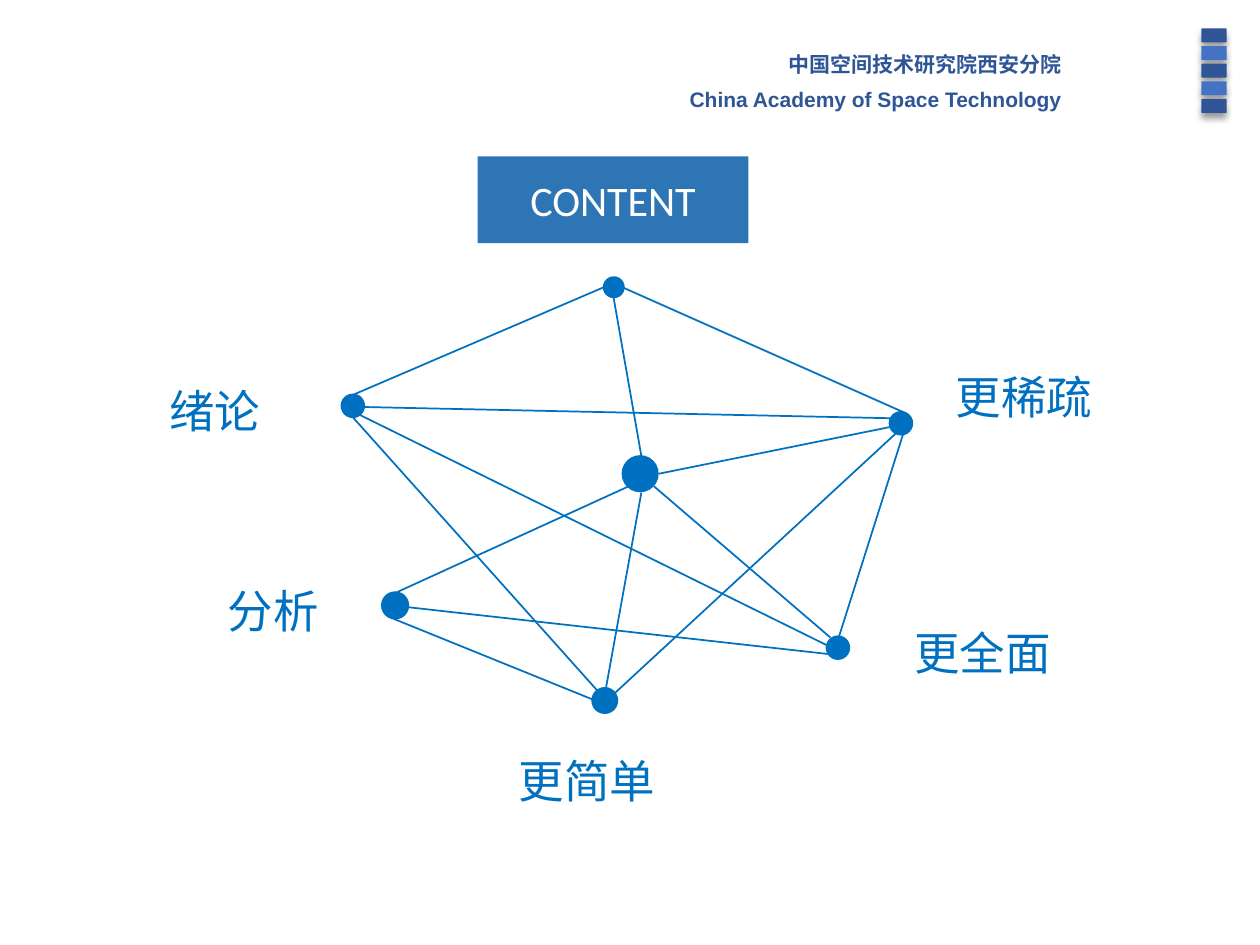
from dataclasses import dataclass

from lxml import etree
from pptx import Presentation
from pptx.dml.color import RGBColor
from pptx.enum import shapes, text
from pptx.oxml import ns
from pptx.util import Pt


@dataclass(frozen=True)
class Theme:
    navy: str = "2F5597"
    blue: str = "4472C4"
    banner: str = "2E75B6"
    network: str = "0070C0"
    white: str = "FFFFFF"
    header_size: float = 12
    title_size: float = 24
    label_size: float = 26
    line_width: float = 1


@dataclass(frozen=True)
class Box:
    left: float
    top: float
    width: float
    height: float

    def inner(self, x, y, width, height):
        return Box(self.left + x, self.top + y, width, height)

    def lengths(self):
        return [Pt(v) for v in (self.left, self.top, self.width, self.height)]


THEME = Theme()
ALIGN = text.PP_ALIGN
KIND = shapes.MSO_SHAPE

# Circle: left, top, diameter
NODES = [
    (296, 0.4, 11.5), (306.7, 102.6, 20.2), (459.3, 77.4, 13),
    (146.1, 67.4, 13), (169.2, 180.4, 15.1), (289.4, 235.1, 14.4),
    (423.3, 205.6, 13),
]
# Link: start x, start y, end x, end y
LINKS = [
    (295.9, 6.2, 153.3, 67.4), (306.7, 6.2, 468.7, 78.2),
    (301.6, 11.9, 317.5, 102.6), (151.9, 79.6, 292.3, 236.6),
    (423.3, 210.6, 156.2, 78.9), (460, 81, 159.1, 74.6),
    (302.4, 238, 462.9, 89.7), (317.5, 123.5, 297.3, 235.1),
    (324.7, 119.9, 425.5, 206.3), (459.3, 86.1, 327.6, 112.7),
    (467.2, 89.7, 430.5, 205.6), (310.3, 119.9, 177.8, 180.4),
    (175.6, 195.5, 289.4, 241.6), (424, 215.7, 184.3, 189),
]
# Topic: wording, alignment, place
TOPICS = [
    ("绪论", ALIGN.CENTER, (0, 57.3, 147.6, 70.6)),
    ("分析", ALIGN.LEFT, (74.1, 171.8, 73.4, 38.9)),
    ("更简单", ALIGN.LEFT, (240.4, 269, 98.6, 38.9)),
    ("更全面", ALIGN.CENTER, (440.6, 195.5, 144, 38.9)),
    ("更稀疏", ALIGN.CENTER, (473.7, 49.4, 125.3, 38.9)),
]


def apply(target, **values):
    for name, value in values.items():
        setattr(target, name, value)


def drop_shadow():
    effects = etree.Element(ns.qn("a:effectLst"))
    shadow = etree.SubElement(
        effects, ns.qn("a:outerShdw"), blurRad=str(Pt(4)), dist=str(Pt(3)),
        dir="5400000", algn="t", rotWithShape="0")
    black = etree.SubElement(shadow, ns.qn("a:srgbClr"), val="000000")
    etree.SubElement(black, ns.qn("a:alpha"), val="40000")
    return effects


def add_filled(slide, kind, box, color, outlined=False):
    shape = slide.shapes.add_shape(kind, *box.lengths())
    shape.shadow.inherit = False
    shape.fill.solid()
    shape.fill.fore_color.rgb = RGBColor.from_string(color)
    if outlined:
        shape.line.color.rgb = RGBColor.from_string(color)
        shape.line.width = Pt(THEME.line_width)
    else:
        shape.line.fill.background()
    return shape


def write(paragraph, wording, face, size, color, alignment, bold=False):
    paragraph.alignment = alignment
    run = paragraph.add_run()
    run.text = wording
    apply(run.font, name=face, size=Pt(size), bold=bold)
    run.font.color.rgb = RGBColor.from_string(color)
    latin = run.font._element.find(ns.qn("a:latin"))
    latin.addnext(etree.Element(ns.qn("a:ea"), typeface=face))
    return run


def add_frame(slide, box, **values):
    frame = slide.shapes.add_textbox(*box.lengths()).text_frame
    apply(frame, word_wrap=True,
          auto_size=text.MSO_AUTO_SIZE.SHAPE_TO_FIT_TEXT, **values)
    return frame


def header(slide, box):
    frame = add_frame(slide, box, margin_left=Pt(5), margin_right=Pt(5),
                      margin_top=Pt(2.9), margin_bottom=Pt(2.9))
    chinese, english = frame.paragraphs[0], frame.add_paragraph()
    for paragraph, wording, face in (
            (chinese, "中国空间技术研究院西安分院", "Noto Sans CJK SC"),
            (english, "China Academy of Space Technology", "Arial")):
        run = write(paragraph, wording, face, THEME.header_size, THEME.navy,
                    ALIGN.RIGHT, bold=True)
        paragraph.line_spacing = Pt(20)
        run.font._element.find(ns.qn("a:solidFill")).addnext(drop_shadow())
    chinese._p.get_or_add_pPr().set("marR", str(Pt(19)))


def bar_stack(slide, box):
    """Five bars turned on their side, in alternating blues."""
    pitch = 10.08
    for i in range(5):
        color = THEME.blue if i % 2 else THEME.navy
        bar = add_filled(slide, KIND.ROUNDED_RECTANGLE,
                         box.inner(0, i * pitch, 7.9, 14.4), color)
        bar.rotation = 270
        bar.adjustments[0] = 0.05
        properties = bar._element.spPr
        properties.replace(properties.find(ns.qn("a:effectLst")), drop_shadow())


def banner(slide, box):
    frame = add_filled(slide, KIND.RECTANGLE, box, THEME.banner).text_frame
    frame.vertical_anchor = text.MSO_ANCHOR.MIDDLE
    write(frame.paragraphs[0], "CONTENT", "Calibri", THEME.title_size,
          THEME.white, ALIGN.CENTER)


def network(slide, box):
    for x1, y1, x2, y2 in LINKS:
        link = slide.shapes.add_connector(
            shapes.MSO_CONNECTOR.STRAIGHT,
            Pt(box.left + x1), Pt(box.top + y1),
            Pt(box.left + x2), Pt(box.top + y2))
        link.line.color.rgb = RGBColor.from_string(THEME.network)
        link.line.width = Pt(THEME.line_width)
        etree.SubElement(link._element.spPr, ns.qn("a:effectLst"))
    for x, y, diameter in NODES:
        add_filled(slide, KIND.OVAL, box.inner(x, y, diameter, diameter),
                   THEME.network, outlined=True)
    for wording, alignment, place in TOPICS:
        frame = add_frame(slide, box.inner(*place))
        write(frame.paragraphs[0], wording, "League Spartan",
              THEME.label_size, THEME.network, alignment)


def main():
    deck = Presentation()
    apply(deck, slide_width=Pt(720), slide_height=Pt(540))
    slide = deck.slides.add_slide(deck.slide_layouts[6])
    bar_stack(slide, Box(689.8, 13, 14.4, 54.7))
    header(slide, Box(356.4, 20.9, 274.3, 46))
    banner(slide, Box(272.9, 89.3, 154.8, 49.7))
    network(slide, Box(49, 158, 599, 308))
    deck.save("out.pptx")


if __name__ == "__main__":
    main()
